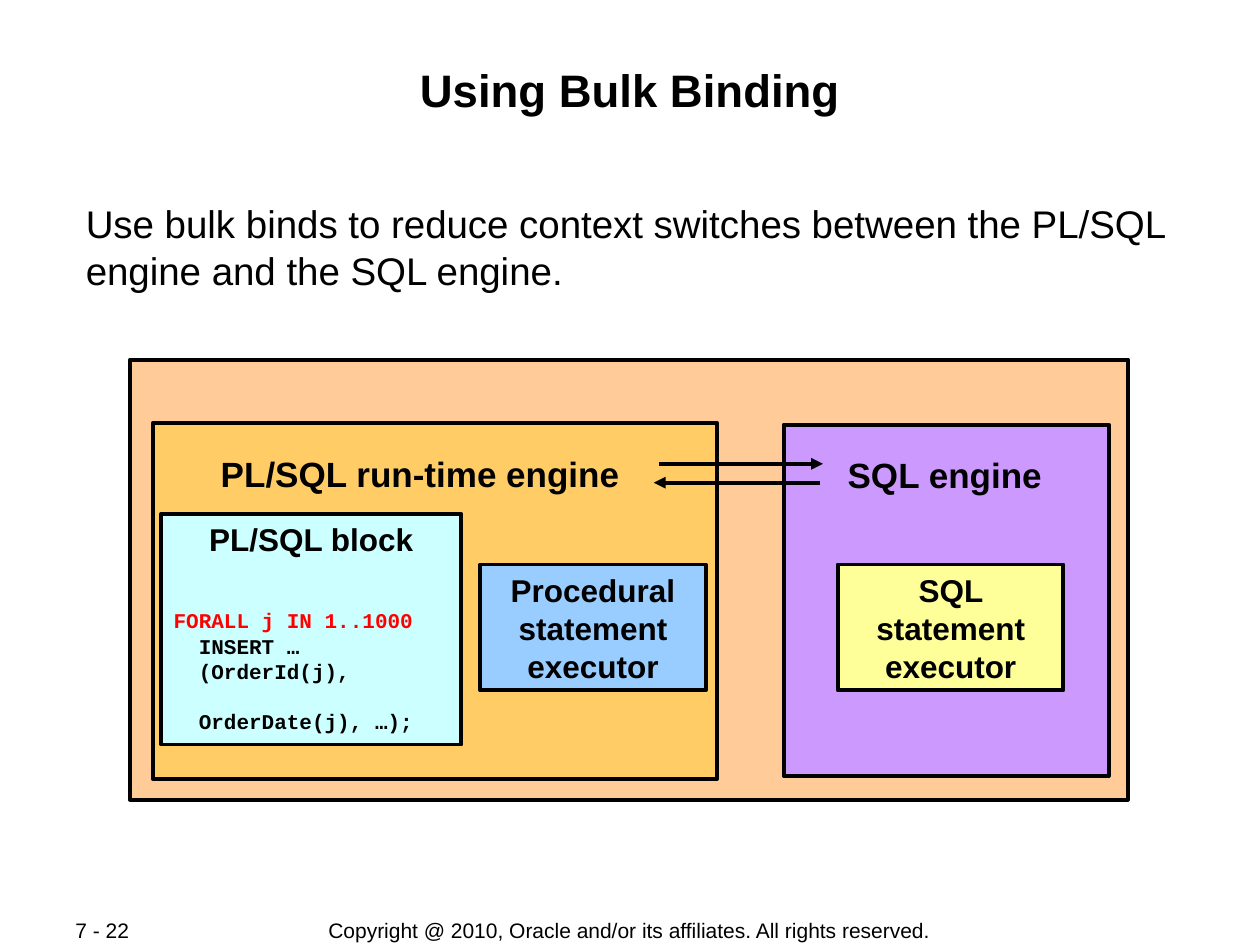
from lxml.etree import SubElement
from pptx import Presentation
from pptx.dml.color import RGBColor as Color
from pptx.enum.shapes import MSO_CONNECTOR as Conn, MSO_SHAPE as Shape
from pptx.enum.text import MSO_ANCHOR as Anchor, PP_ALIGN as Align
from pptx.oxml.ns import qn
from pptx.util import Cm, Pt

BLACK = Color(0, 0, 0)
RED = Color(0xFF, 0, 0)
PEACH = Color(0xFF, 0xCC, 0x99)
AMBER = Color(0xFF, 0xCC, 0x66)
PURPLE = Color(0xCC, 0x99, 0xFF)
CYAN = Color(0xCC, 0xFF, 0xFF)
YELLOW = Color(0xFF, 0xFF, 0x99)
BLUE = Color(0x99, 0xCC, 0xFF)


def write(para, text, size=18, bold=True, font="Arial", color=BLACK,
          align=Align.CENTER, before=0, line=None):
    """Put one run of formatted text into a paragraph."""
    para.alignment = align
    para.space_before = Pt(before)
    if line:
        para.line_spacing = Pt(line)
    run = para.add_run()
    run.text = text
    run.font.name = font
    run.font.size = Pt(size)
    run.font.bold = bold
    run.font.color.rgb = color


class Page:
    """The current slide and its line and margin style."""

    def __init__(self, deck):
        self.slide = deck.slides.add_slide(deck.slide_layouts[6])
        self.shapes = self.slide.shapes
        self.stroke = Pt(2.25)
        self.pad = (Cm(0.25), Cm(0.13))

    def frame(self, shape, anchor=Anchor.TOP, pad=None):
        frame = shape.text_frame
        side, edge = pad or self.pad
        frame.margin_left = frame.margin_right = side
        frame.margin_top = frame.margin_bottom = edge
        frame.vertical_anchor = anchor
        frame.word_wrap = True
        return frame

    def label(self, text, place, anchor=Anchor.TOP, pad=None, **style):
        box = self.shapes.add_textbox(*map(Cm, place))
        frame = self.frame(box, anchor, pad)
        write(frame.paragraphs[0], text, **style)

    def panel(self, fill, place, text=None):
        box = self.shapes.add_shape(Shape.RECTANGLE, *map(Cm, place))
        box.shadow.inherit = False
        box.fill.solid()
        box.fill.fore_color.rgb = fill
        box.line.color.rgb = BLACK
        box.line.width = self.stroke
        frame = self.frame(box)
        if text:
            write(frame.paragraphs[0], text)
        return frame

    def arrow(self, start, end, y):
        line = self.shapes.add_connector(
            Conn.STRAIGHT, Cm(start), Cm(y), Cm(end), Cm(y))
        line.line.color.rgb = BLACK
        line.line.width = self.stroke
        SubElement(line.line._get_or_add_ln(), qn("a:tailEnd"),
                   type="triangle")
        SubElement(line._element.spPr, qn("a:effectLst"))


def main():
    deck = Presentation()
    deck.slide_width, deck.slide_height = Cm(25.4), Cm(19.05)
    page = Page(deck)
    thin = (Cm(0.03), Cm(0.03))

    # Footer
    foot = dict(anchor=Anchor.MIDDLE, size=12, bold=False)
    page.label("Copyright @ 2010, Oracle and/or its affiliates. "
               "All rights reserved.", (6.09, 18.49, 13.2, 0.53), **foot)
    page.label("7 - 22", (1.27, 18.49, 2.69, 0.51), align=Align.LEFT, **foot)

    # Title and lead text
    page.label("Using Bulk Binding", (1.7, 1.22, 22, 2.44), pad=thin, size=26)
    page.label("Use bulk binds to reduce context switches between the "
               "PL/SQL engine and the SQL engine.", (1.7, 4.01, 22, 1.93),
               pad=thin, size=22, bold=False, align=Align.LEFT)

    # Server and its two engines
    page.panel(PEACH, (2.62, 7.25, 20.12, 8.87))
    page.panel(AMBER, (3.08, 8.53, 11.38, 7.17))
    page.panel(PURPLE, (15.8, 8.56, 6.55, 7.09))
    page.label("SQL engine", (16.43, 9.02, 5.23, 1.47), size=20)
    page.label("PL/SQL run-time engine", (4.01, 8.99, 8.92, 1.37), size=20)

    # Code block: text, colour, space before
    block = page.panel(CYAN, (3.25, 10.36, 6.05, 4.65), "PL/SQL block")
    code = [
        ("FORALL j IN 1..1000", RED, 28.4),
        ("  INSERT …", BLACK, 0),
        ("  (OrderId(j),", BLACK, 0),
        ("  OrderDate(j), …);", BLACK, 14.4),
    ]
    for text, color, gap in code:
        write(block.add_paragraph(), text, size=12, font="Courier New",
              color=color, align=Align.LEFT, before=gap, line=14.4)

    # Context switches
    page.arrow(16.54, 13.18, 9.73)
    page.arrow(13.28, 16.59, 9.35)

    # Executors
    for name, fill, left in (("SQL", YELLOW, 16.89),
                             ("Procedural", BLUE, 9.68)):
        page.panel(fill, (left, 11.38, 4.55, 2.54),
                   f"{name} statement executor")

    deck.save("out.pptx")


if __name__ == "__main__":
    main()
